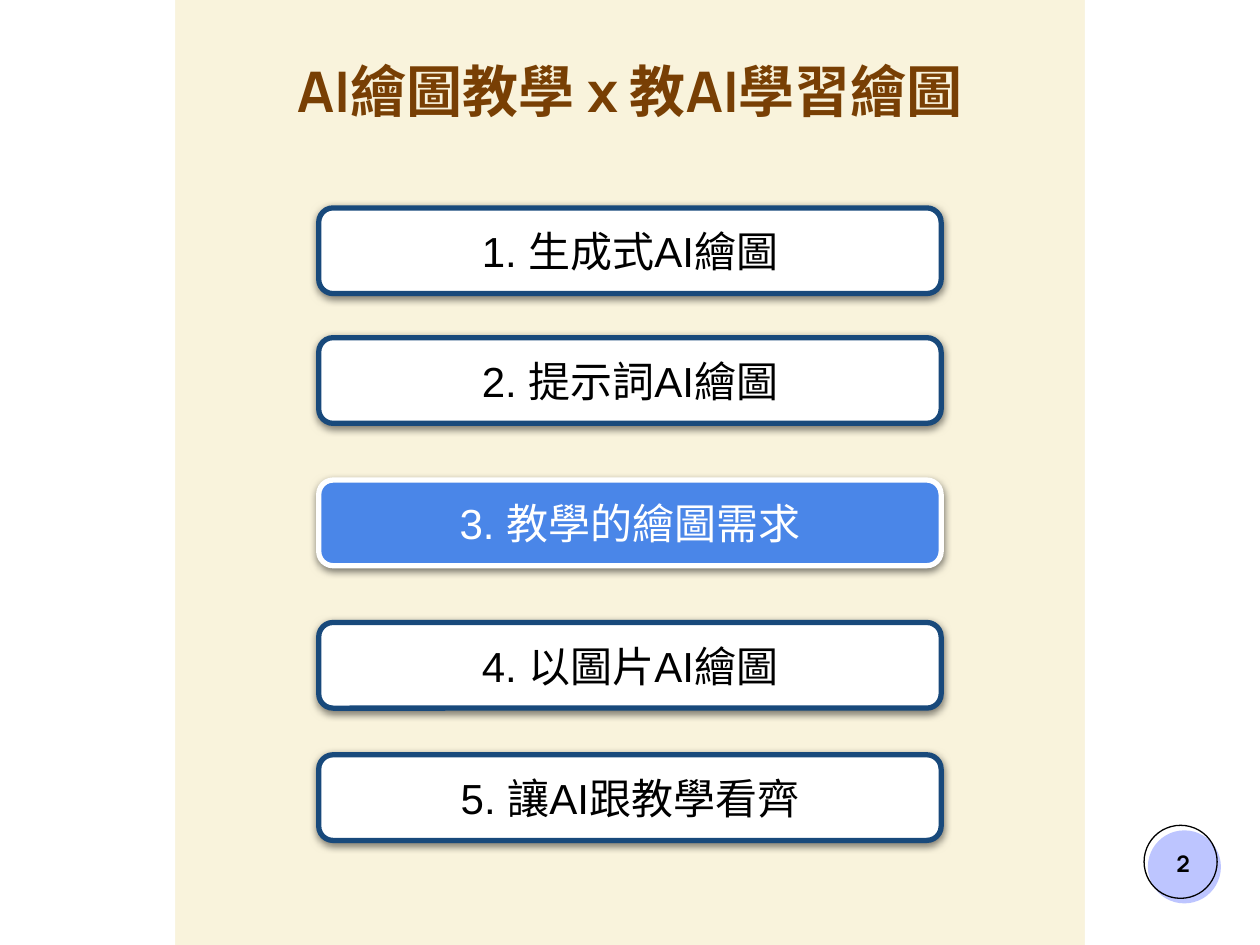
import pptx
import pptx.dml.color
import pptx.enum.shapes
import pptx.enum.text
import pptx.oxml
import pptx.oxml.ns
import pptx.util
from dataclasses import dataclass

Inches = pptx.util.Inches
Pt = pptx.util.Pt
RGB = pptx.dml.color.RGBColor.from_string
Kind = pptx.enum.shapes.MSO_SHAPE
Anchor = pptx.enum.text.MSO_ANCHOR


@dataclass(frozen=True)
class Theme:
    cream: str = "F9F3DC"
    white: str = "FFFFFF"
    black: str = "000000"
    brown: str = "783F04"
    navy: str = "18497B"
    blue: str = "4A86E8"
    lilac: str = "BDC5FF"
    head: str = "Manrope"
    body: str = "Arial"
    title: int = 32
    item: int = 24
    page: int = 13


theme = Theme()
prs = pptx.Presentation()
prs.slide_width, prs.slide_height = Inches(10), Inches(7.5)
slide = prs.slides.add_slide(prs.slide_layouts[5])
slide.background.fill.solid()
slide.background.fill.fore_color.rgb = RGB(theme.cream)


def draw(kind, box, fill=None, line=None, width=0.75):
    shape = slide.shapes.add_shape(kind, *map(Inches, box))
    shape.shadow.inherit = False
    if fill:
        shape.fill.solid()
        shape.fill.fore_color.rgb = RGB(fill)
    else:
        shape.fill.background()
    if line:
        shape.line.color.rgb = RGB(line)
        shape.line.width = Pt(width)
    else:
        shape.line.fill.background()
    return shape


def write(shape, text, color, size, name, bold=False, anchor=Anchor.MIDDLE, top=0.1):
    frame = shape.text_frame
    look = {
        "word_wrap": True,
        "auto_size": pptx.enum.text.MSO_AUTO_SIZE.NONE,
        "vertical_anchor": anchor,
        "margin_left": Inches(0.1),
        "margin_right": Inches(0.1),
        "margin_top": Inches(top),
        "margin_bottom": Inches(0.1),
    }
    for key, value in look.items():
        setattr(frame, key, value)
    para = frame.paragraphs[0]
    para.alignment = pptx.enum.text.PP_ALIGN.CENTER
    run = para.add_run()
    run.text = text
    for key, value in {"size": Pt(size), "name": name, "bold": bold}.items():
        setattr(run.font, key, value)
    run.font.color.rgb = RGB(color)


# Side bands and page badge
side = 1.39
draw(Kind.RECTANGLE, (10 - side, 0, side, 7.5), theme.white)
draw(Kind.OVAL, (8.99, 6.45, 0.8, 0.8), theme.white)
draw(Kind.OVAL, (9.11, 6.59, 0.58, 0.58), theme.lilac)
draw(Kind.OVAL, (9.08, 6.55, 0.58, 0.58), line=theme.black)
draw(Kind.RECTANGLE, (0, 0, side, 7.5), theme.white)
page = slide.shapes.add_textbox(*map(Inches, (9.09, 6.57, 0.6, 0.57)))
write(page, "2", theme.black, theme.page, theme.head, bold=True)

# Title
title = slide.shapes.title
title.left, title.top = Inches(side), Inches(0.45)
title.width, title.height = Inches(10 - 2 * side), Inches(0.68)
write(title, "AI繪圖教學 x 教AI學習繪圖", theme.brown, theme.title, theme.head,
      bold=True, anchor=Anchor.TOP, top=0)

# Agenda, with the current item highlighted
items = [
    (1.65, "1. 生成式AI繪圖"),
    (2.68, "2. 提示詞AI繪圖"),
    (3.81, "3. 教學的繪圖需求"),
    (4.94, "4. 以圖片AI繪圖"),
    (5.99, "5. 讓AI跟教學看齊"),
]
current = 3
shade = (
    f'<a:outerShdw {pptx.oxml.ns.nsdecls("a")} blurRad="{Pt(4.5)}" dist="{Pt(1.5)}" '
    f'dir="5400000" algn="bl" rotWithShape="0"><a:srgbClr val="{theme.black}">'
    '<a:alpha val="50000"/></a:srgbClr></a:outerShdw>'
)
for number, (top, text) in enumerate(items, 1):
    fill, line, ink = theme.white, theme.navy, theme.black
    if number == current:
        fill, line, ink = theme.blue, theme.white, theme.white
    card = draw(Kind.ROUNDED_RECTANGLE, (2.53, top, 4.94, 0.68), fill, line, 3)
    card.adjustments[0] = 0.167
    effects = card._element.spPr.find(pptx.oxml.ns.qn("a:effectLst"))
    effects.append(pptx.oxml.parse_xml(shade))
    write(card, text, ink, theme.item, theme.body)

prs.save("out.pptx")
